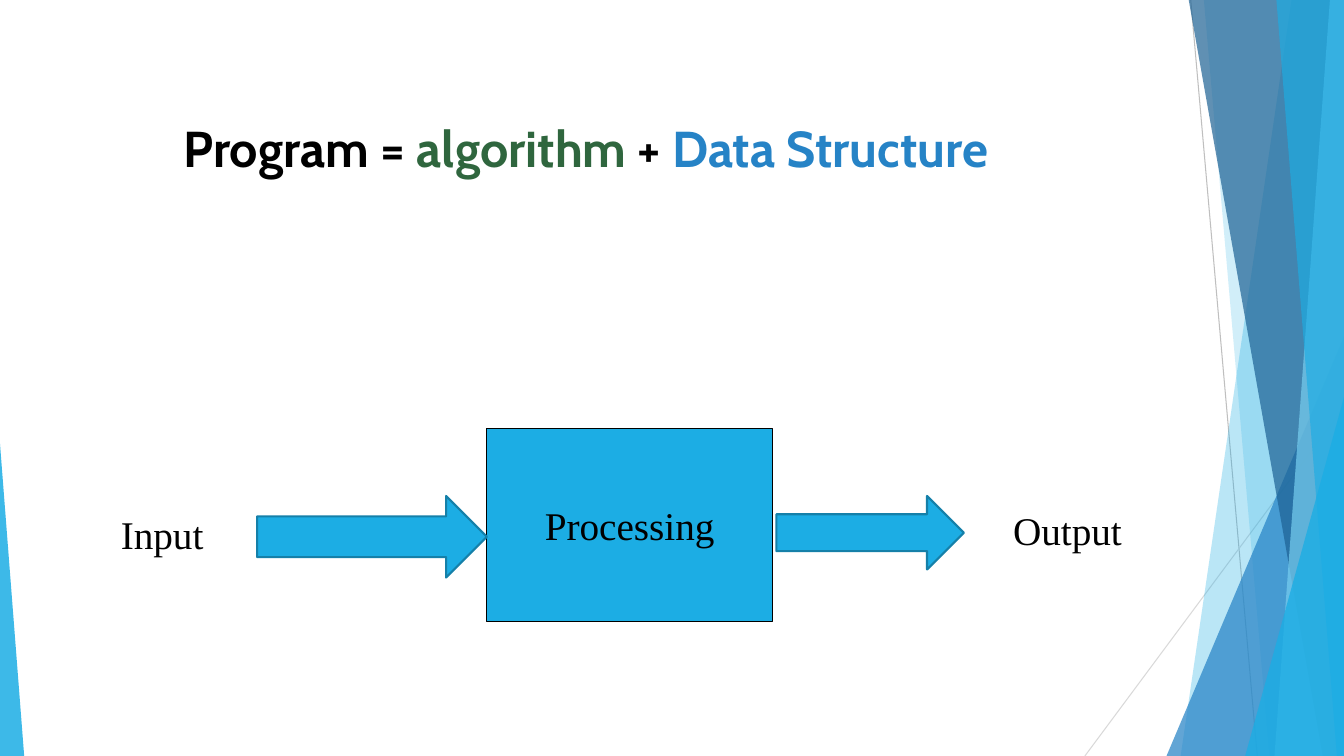
from lxml import etree
from pptx import Presentation
from pptx import util as u
from pptx.dml.color import RGBColor
from pptx.enum import shapes, text
from pptx.oxml import ns

PX = 9144  # EMU per px, 100 px to the inch
WIDTH, HEIGHT = 1333, 750
COLOURS = {
    "black": "000000", "sky": "1CADE4", "blue": "2683C6", "navy": "1D6294",
    "pale": "77CEEF", "edge": "1580A9", "green": "2F663E",
    "grey": "BFBFBF", "light grey": "D9D9D9",
}


def rgb(colour):
    return RGBColor.from_string(COLOURS[colour])


def write(frame, runs, size=28, font="Times New Roman", bold=False, align=None):
    """Fill a text frame with one paragraph of (words, colour) runs."""
    frame.word_wrap = False
    paragraph = frame.paragraphs[0]
    paragraph.alignment = align
    for words, colour in runs:
        run = paragraph.add_run()
        run.text = words
        run.font.size = u.Pt(size)
        run.font.name = font
        run.font.bold = bold
        run.font.color.rgb = rgb(colour)


class Painter:
    def __init__(self, slide):
        self.shapes = slide.shapes

    def style(self, shape, fill, alpha=100, line=None, weight=0.75):
        shape.shadow.inherit = False
        shape.fill.solid()
        shape.fill.fore_color.rgb = rgb(fill)
        if alpha < 100:
            colour = shape.fill._xPr.find(".//" + ns.qn("a:srgbClr"))
            etree.SubElement(colour, ns.qn("a:alpha"), val=str(alpha * 1000))
        if line:
            shape.line.color.rgb = rgb(line)
            shape.line.width = u.Pt(weight)
        else:
            shape.line.fill.background()
        return shape

    def preset(self, kind, box, fill, **look):
        shape = self.shapes.add_shape(kind, *(n * PX for n in box))
        return self.style(shape, fill, **look)

    def triangle(self, box, apex, fill, alpha):
        kind = shapes.MSO_SHAPE.ISOSCELES_TRIANGLE
        self.preset(kind, box, fill, alpha=alpha).adjustments[0] = apex

    def band(self, top, bottom, fill, alpha):
        """Band from a slanted left edge to the right side of the slide."""
        builder = self.shapes.build_freeform(top, 0, scale=PX)
        builder.add_line_segments([(WIDTH, 0), (WIDTH, HEIGHT), (bottom, HEIGHT)])
        self.style(builder.convert_to_shape(), fill, alpha=alpha)

    def line(self, start, end, colour):
        points = (n * PX for n in (*start, *end))
        line = self.shapes.add_connector(shapes.MSO_CONNECTOR.STRAIGHT, *points)
        line.line.color.rgb = rgb(colour)
        line.line.width = u.Pt(0.75)
        etree.SubElement(line._element.spPr, ns.qn("a:effectLst"))

    def label(self, box, runs, **form):
        frame = self.shapes.add_textbox(*(n * PX for n in box)).text_frame
        frame.auto_size = text.MSO_AUTO_SIZE.SHAPE_TO_FIT_TEXT
        write(frame, runs, **form)


def main():
    deck = Presentation()
    deck.slide_width, deck.slide_height = WIDTH * PX, HEIGHT * PX
    painter = Painter(deck.slides.add_slide(deck.slide_layouts[6]))

    # Slanted decoration on both sides
    painter.line((1181, 0), (1247, HEIGHT), "grey")
    painter.line((WIDTH, 404), (1076, HEIGHT), "light grey")
    painter.band(1281, 1171, "sky", 30)
    painter.band(1194, 1259, "sky", 20)
    painter.triangle((1157, 334, 176, 416), 1, "blue", 72)
    painter.band(1179, 1312, "navy", 70)
    painter.band(1319, 1264, "pale", 70)
    painter.band(1266, 1326, "sky", 65)
    painter.triangle((1235, 394, 98, 356), 1, "sky", 80)
    painter.triangle((0, 440, 24, 310), 0, "sky", 85)

    # Input, processing, output
    painter.label((110, 501, 102, 57), [("Input", "black")])
    processing = painter.preset(shapes.MSO_SHAPE.RECTANGLE, (483, 425, 283, 192),
                                "sky", line="black")
    processing.text_frame.vertical_anchor = text.MSO_ANCHOR.MIDDLE
    write(processing.text_frame, [("Processing", "black")],
          align=text.PP_ALIGN.CENTER)
    painter.label((995, 497, 128, 57), [("Output", "black")])
    for arrow in ((255, 492, 228, 81), (770, 492, 186, 73)):
        painter.preset(shapes.MSO_SHAPE.RIGHT_ARROW, arrow, "sky",
                       line="edge", weight=1.5)

    # Title
    title = [(" Program = ", "black"), ("algorithm", "green"),
             (" + ", "black"), ("Data Structure", "blue")]
    painter.label((161, 111, 922, 71), title, size=36, font="Cabin", bold=True)

    deck.save("out.pptx")


if __name__ == "__main__":
    main()
